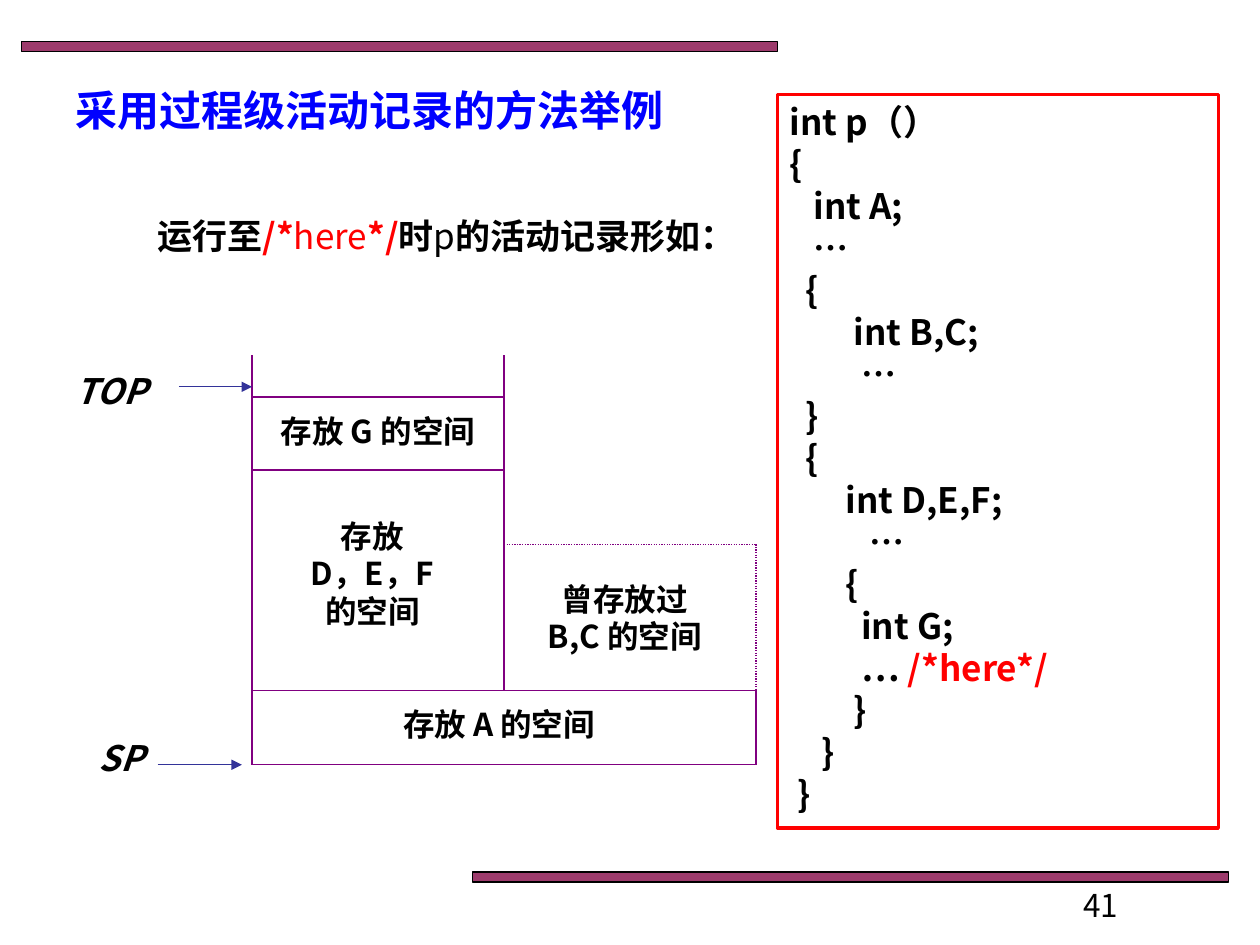
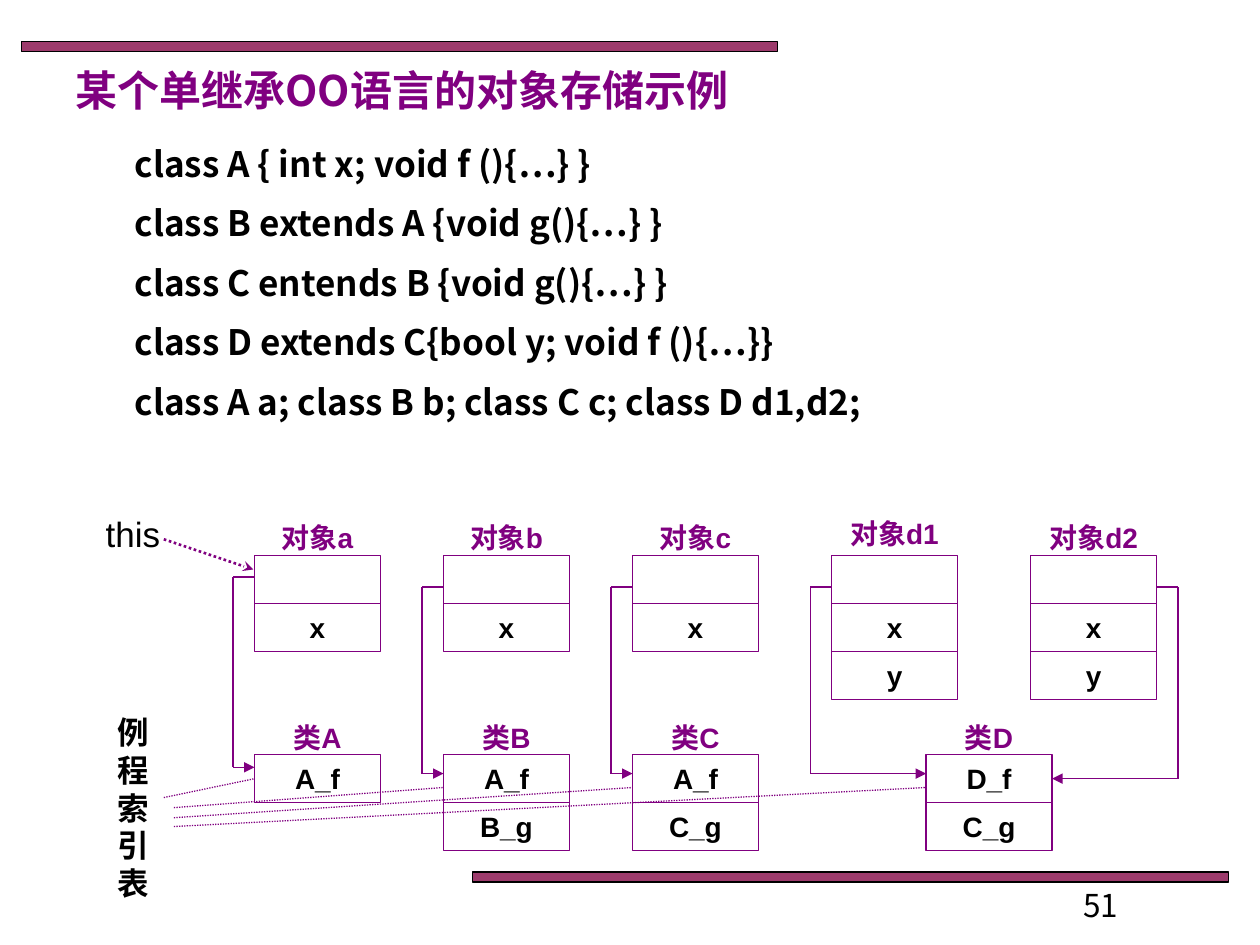
from lxml import etree
from pptx import Presentation, util as u
from pptx.dml.color import RGBColor
from pptx.enum import dml, shapes, text
from pptx.oxml.ns import qn

COLOURS = {"band": "993366", "black": "000000", "blue": "0000FF", "red": "FF0000",
           "purple": "800080", "arrow": "333399"}
CJK_FONT = "Noto Sans CJK SC"
BASE_FORMAT = {"name": CJK_FONT, "size": 18, "bold": True, "colour": "black"}
LINE_PITCH = 1.2
CENTER, LEFT = text.PP_ALIGN.CENTER, text.PP_ALIGN.LEFT


def write_text(shape, lines, align=CENTER, anchor=text.MSO_ANCHOR.TOP, gap=0, **changes):
    """Fill a shape; a line is a string or a list of (string, format changes) runs."""
    frame = shape.text_frame
    for key, value in {"word_wrap": True, "vertical_anchor": anchor,
                       "auto_size": text.MSO_AUTO_SIZE.NONE}.items():
        setattr(frame, key, value)
    for index, line in enumerate(lines):
        paragraph = frame.add_paragraph() if index else frame.paragraphs[0]
        paragraph.alignment = align
        paragraph.space_before = u.Pt(gap if index else 0)
        paragraph.line_spacing = u.Pt(LINE_PITCH * changes.get("size", BASE_FORMAT["size"]))
        for content, run_changes in [(line, {})] if isinstance(line, str) else line:
            run = paragraph.add_run()
            run.text = content
            values = {**BASE_FORMAT, **changes, **run_changes}
            run.font.color.rgb = RGBColor.from_string(COLOURS[values.pop("colour")])
            values["size"] = u.Pt(values["size"])
            for key, value in values.items():
                setattr(run.font, key, value)
    for properties in shape.element.iter(qn("a:rPr")):
        etree.SubElement(properties, qn("a:ea"), typeface=CJK_FONT)


def add_line(slide, start, end, colour="purple", width=0.75, dotted=False, arrow=None):
    line = slide.shapes.add_connector(shapes.MSO_CONNECTOR.STRAIGHT,
                                      *[u.Inches(value) for value in (*start, *end)])
    line.line.color.rgb = RGBColor.from_string(COLOURS[colour])
    line.line.width = u.Pt(width)
    properties = line.element.spPr
    if dotted:
        line.line.dash_style = dml.MSO_LINE.ROUND_DOT
    if arrow:
        etree.SubElement(properties.find(qn("a:ln")), qn("a:tailEnd"), type=arrow)
    etree.SubElement(properties, qn("a:effectLst"))
    return line


presentation = Presentation()
presentation.slide_width, presentation.slide_height = u.Inches(10), u.Inches(7.5)
layout = presentation.slide_layouts[5]

# Titles and page numbers
slides = []
for title, top, colour, number in [("采用过程级活动记录的方法举例", 0.62, "blue", "41"),
                                   ("某个单继承OO语言的对象存储示例", 0.46, "purple", "51")]:
    slide = presentation.slides.add_slide(layout)
    heading = slide.shapes.title
    for key, value in {"left": 0.5, "top": top, "width": 8.2, "height": 0.5}.items():
        setattr(heading, key, u.Inches(value))
    write_text(heading, [title], align=LEFT, size=24, colour=colour)
    page = slide.shapes.add_textbox(*map(u.Inches, (8.5, 6.98, 1.4, 0.4)))
    write_text(page, [number], align=LEFT, bold=False)
    slides.append(slide)
record_slide, object_slide = slides

# Bands shared through the layout
for left, top in [(0.17, 0.33), (3.75, 6.92)]:
    band = record_slide.shapes.add_shape(shapes.MSO_SHAPE.RECTANGLE,
                                         *map(u.Inches, (left, top, 6, 0.08)))
    band.shadow.inherit = False
    band.fill.solid()
    band.fill.fore_color.rgb = RGBColor.from_string(COLOURS["band"])
    colour_element = next(band.element.spPr.iter(qn("a:srgbClr")))
    etree.SubElement(colour_element, qn("a:alpha"), val="96000")
    band.line.color.rgb = RGBColor.from_string(COLOURS["black"])
    band.line.width = u.Pt(0.75)
    layout.shapes.element.append(band.element)

# Activation record: source code
code_box = record_slide.shapes.add_shape(shapes.MSO_SHAPE.RECTANGLE,
                                         *map(u.Inches, (6.17, 0.75, 3.5, 5.82)))
code_box.shadow.inherit = False
code_box.fill.background()
code_box.line.color.rgb = RGBColor.from_string(COLOURS["red"])
code_box.line.width = u.Pt(2)
write_text(code_box, [
    "int p（）",
    "{",
    "   int A;",
    "   …",
    "  {",
    "        int B,C;",
    "         …",
    "  }",
    "  {",
    "       int D,E,F;",
    "          …",
    "       {",
    "         int G;",
    [("         … ", {}), ("/*here*/", {"colour": "red"})],
    "        }",
    "    }",
    " }",
], align=LEFT, size=20)

# Activation record: stack
stack_left, stack_middle, stack_right = 2, 4, 6
stack_top, g_top, def_top, bc_top, a_top, stack_bottom = 2.82, 3.15, 3.73, 4.32, 5.48, 6.07
for start, end in [
    ((stack_left, stack_top), (stack_left, stack_bottom)),
    ((stack_middle, stack_top), (stack_middle, a_top)),
    ((stack_right, a_top), (stack_right, stack_bottom)),
    ((stack_left, g_top), (stack_middle, g_top)),
    ((stack_left, def_top), (stack_middle, def_top)),
    ((stack_left, a_top), (stack_right, a_top)),
    ((stack_left, stack_bottom), (stack_right, stack_bottom)),
]:
    add_line(record_slide, start, end)
for start, end in [((stack_middle, bc_top), (stack_right, bc_top)),
                   ((stack_right, bc_top), (stack_right, a_top))]:
    add_line(record_slide, start, end, dotted=True)
for start, end in [((1.42, 3.07), (stack_left, 3.07)), ((1.25, 6.07), (1.92, 6.07))]:
    add_line(record_slide, start, end, colour="arrow", arrow="triangle")

here = {"colour": "red"}
plain = {"bold": False}
pointer_format = {"size": 20, "italic": True}
for box, lines, changes in [
    ((0.67, 1.65, 5.75, 0.44),
     [[("运行至", {}), ("/*", here), ("here", {**here, **plain}), ("*/", here),
       ("时", {}), ("p", plain), ("的活动记录形如：", {})]], {"size": 20}),
    ((2, 3.22, 2, 0.4), ["存放 G 的空间"], {}),
    ((2.08, 4.05, 1.75, 1.01), ["存放", "D，E，F", "的空间"], {}),
    ((4, 4.55, 1.92, 0.71), ["曾存放过", "B,C 的空间"], {}),
    ((2, 5.55, 3.92, 0.4), ["存放 A 的空间"], {}),
    ((0.42, 2.88, 0.92, 0.43), ["TOP"], pointer_format),
    ((0.5, 5.8, 0.92, 0.43), ["SP"], pointer_format),
]:
    write_text(record_slide.shapes.add_textbox(*map(u.Inches, box)), lines, **changes)

# Object storage: class declarations
declarations = object_slide.shapes.add_textbox(*map(u.Inches, (0.97, 1.08, 8.3, 2.46)))
write_text(declarations, [
    "class A { int x; void f (){…} }",
    "class B extends A {void g(){…} }",
    "class C entends B {void g(){…} }",
    "class D extends C{bool y; void f (){…}}",
    "class A a; class B b; class C c; class D d1,d2;",
], align=LEFT, size=20, gap=10)

# Object storage: objects above, routine tables of the classes below
cell_width, cell_height = 1, 0.38
object_top, class_top = 4.41, 5.99
cells = {}
for label, left, label_top, top, contents in [
    ("对象a", 2.02, 4.08, object_top, ["", "x"]),
    ("对象b", 3.52, 4.08, object_top, ["", "x"]),
    ("对象c", 5.02, 4.08, object_top, ["", "x"]),
    ("对象d1", 6.6, 4.05, object_top, ["", "x", "y"]),
    ("对象d2", 8.18, 4.08, object_top, ["", "x", "y"]),
    ("类A", 2.02, 5.67, class_top, ["A_f"]),
    ("类B", 3.52, 5.67, class_top, ["A_f", "B_g"]),
    ("类C", 5.02, 5.67, class_top, ["A_f", "C_g"]),
    ("类D", 7.35, 5.67, class_top, ["D_f", "C_g"]),
]:
    label_box = object_slide.shapes.add_textbox(
        *map(u.Inches, (left, label_top, cell_width, 0.37)))
    write_text(label_box, [label], size=16, name="Arial", colour="purple")
    for row, content in enumerate(contents):
        cell = object_slide.shapes.add_shape(
            shapes.MSO_SHAPE.RECTANGLE,
            *map(u.Inches, (left, top + row * cell_height, cell_width, cell_height)))
        cell.shadow.inherit = False
        cell.fill.background()
        cell.line.color.rgb = RGBColor.from_string(COLOURS["purple"])
        cell.line.width = u.Pt(0.75)
        if content:
            write_text(cell, [content], anchor=text.MSO_ANCHOR.MIDDLE, size=16, name="Arial")
        cells[label, row] = cell

# Pointers from each object to its class
class_middle = class_top + cell_height / 2
for object_side, lane, exit_y, class_side, entry_y in [
    (2.02, 1.85, 4.58, 2.02, 6.09),
    (3.52, 3.35, 4.66, 3.52, 6.14),
    (5.02, 4.85, 4.66, 5.02, 6.14),
    (6.6, 6.43, 4.66, 7.35, 6.14),
    (9.18, 9.35, 4.66, 8.35, class_middle),
]:
    add_line(object_slide, (object_side, exit_y), (lane, exit_y))
    add_line(object_slide, (lane, exit_y), (lane, entry_y))
    pointer = add_line(object_slide, (lane, entry_y), (class_side, entry_y), arrow="triangle")
pointer.end_connect(cells["类D", 0], 3)

# Routine index table and this
index_line = add_line(object_slide, (1.3, 6.33), (2.02, class_middle), dotted=True)
index_line.end_connect(cells["类A", 0], 1)
for start_y, end_x in [(6.41, 3.52), (6.49, 5.02), (6.56, 7.35)]:
    add_line(object_slide, (1.38, start_y), (end_x, 6.25), dotted=True)
add_line(object_slide, (1.3, 4.28), (2.01, 4.52), width=1.5, dotted=True, arrow="stealth")
index_label = object_slide.shapes.add_textbox(*map(u.Inches, (0.7, 5.61, 0.71, 1.62)))
write_text(index_label, list("例程索引表"), name="Arial")
this_label = object_slide.shapes.add_textbox(*map(u.Inches, (0.74, 4.02, 0.63, 0.43)))
write_text(this_label, ["this"], size=20, name="Arial", bold=False)
this_label.text_frame.word_wrap = False

presentation.save("out.pptx")
